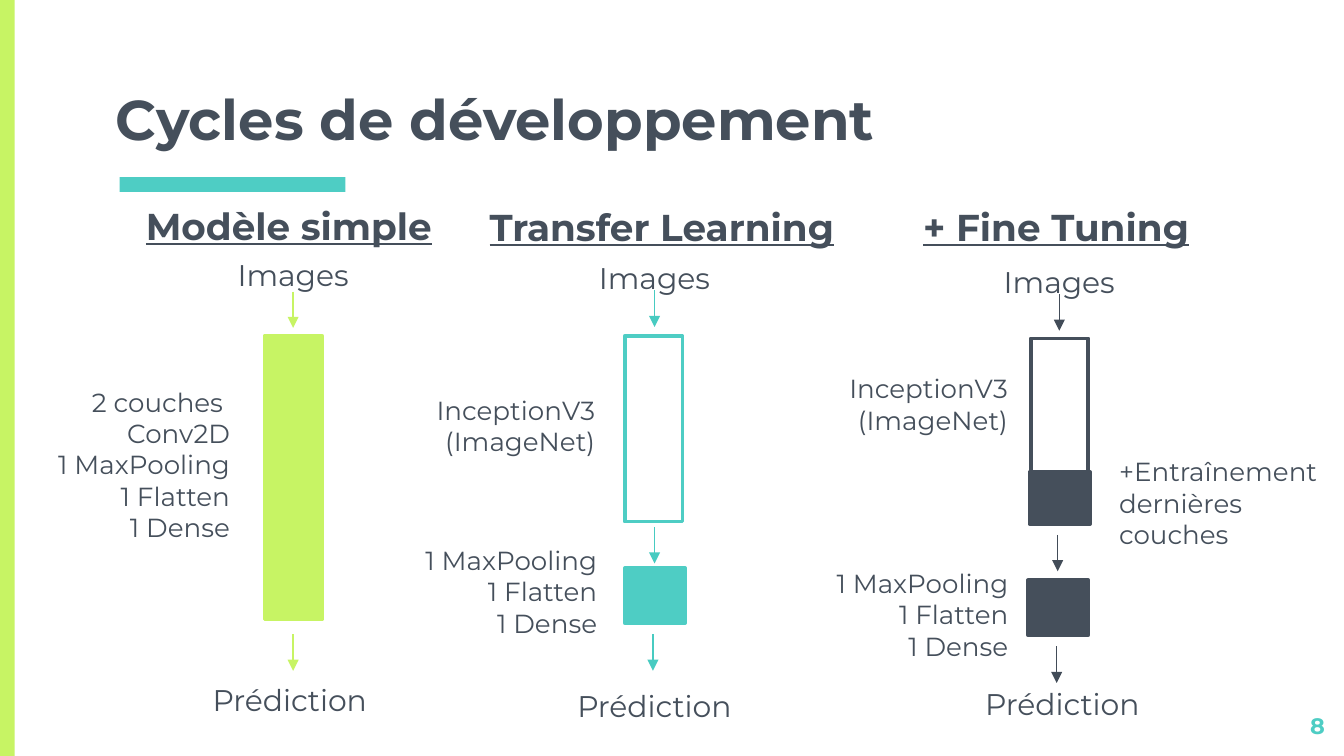
from lxml import etree
from pptx import Presentation
from pptx import util as u
from pptx.dml import color
from pptx.enum import shapes, text
from pptx.oxml import ns

INK, TEAL, LIME, WHITE = "454F5B", "4ECDC4", "C7F464", "FFFFFF"
LEFT, CENTER, RIGHT = text.PP_ALIGN.LEFT, text.PP_ALIGN.CENTER, text.PP_ALIGN.RIGHT
ARROW_LENGTH = 0.69
DENSE_HEAD = ["1 MaxPooling", "1 Flatten", "1 Dense"]


def paint(target, hex_colour):
    """Give a fill a solid colour."""
    target.solid()
    target.fore_color.rgb = color.RGBColor.from_string(hex_colour)


def write(frame, lines, size=16, colour=INK, bold=False, underline=False,
          align=CENTER, anchor=text.MSO_ANCHOR.BOTTOM):
    """Fill a text frame with one formatted paragraph per line."""
    frame.word_wrap = True
    frame.auto_size = text.MSO_AUTO_SIZE.NONE
    frame.vertical_anchor = anchor
    frame.margin_left = frame.margin_right = u.Cm(0.25)
    frame.margin_top = frame.margin_bottom = u.Cm(0.25)
    for index, line in enumerate(lines):
        paragraph = frame.add_paragraph() if index else frame.paragraphs[0]
        paragraph.alignment = align
        run = paragraph.add_run()
        run.text = line
        run.font.name = "Montserrat"
        run.font.size = u.Pt(size)
        run.font.bold = bold
        run.font.underline = underline
        paint(run.font.fill, colour)


def label(slide, left, top, width, height, lines, **style):
    """Add a text box."""
    box = slide.shapes.add_textbox(u.Cm(left), u.Cm(top), u.Cm(width), u.Cm(height))
    write(box.text_frame, lines, **style)


def block(slide, left, top, width, height, fill, outline=None):
    """Add a rectangle with an optional outline."""
    rect = slide.shapes.add_shape(shapes.MSO_SHAPE.RECTANGLE, u.Cm(left), u.Cm(top),
                                  u.Cm(width), u.Cm(height))
    rect.shadow.inherit = False
    paint(rect.fill, fill)
    if outline:
        paint(rect.line.fill, outline)
        rect.line.width = u.Pt(2)
    else:
        rect.line.fill.background()


def down_arrow(slide, x, top, colour, weight):
    """Add a short arrow pointing down."""
    arrow = slide.shapes.add_connector(shapes.MSO_CONNECTOR.STRAIGHT, u.Cm(x), u.Cm(top),
                                       u.Cm(x), u.Cm(top + ARROW_LENGTH))
    paint(arrow.line.fill, colour)
    arrow.line.width = u.Pt(weight)
    line = arrow.line._get_or_add_ln()
    etree.SubElement(line, ns.qn("a:tailEnd"), type="triangle")
    etree.SubElement(arrow._element.spPr, ns.qn("a:effectLst"))


def page_frame(slide, width, height, title, number):
    """Place the side band, title, accent bar and page number."""
    block(slide, 0, 0, 0.28, height, LIME)
    block(slide, 2.26, 3.35, 4.27, 0.28, TEAL)
    heading = slide.shapes.title
    heading.left, heading.top = u.Cm(1.93), u.Cm(1.75)
    heading.width, heading.height = u.Cm(width - 3.83), u.Cm(1.37)
    write(heading.text_frame, [title], size=30, bold=True, align=LEFT)
    label(slide, width - 1.63, height - 1.08, 1.52, 0.86, [number], size=12, colour=TEAL,
          bold=True, align=RIGHT, anchor=text.MSO_ANCHOR.TOP)


def model_column(slide, axis, top, heading, colour, arrow_colour, ends, arrows, layers, captions):
    """Place one model pipeline around a vertical axis, below its top."""
    shift, name = heading
    label(slide, axis + shift - 3.62, top, 7.24, 1.27, [name], size=20, bold=True, underline=True)
    for (dx, dy), word in zip(ends, ("Images", "Prédiction")):
        label(slide, axis + dx - 2.2, top + dy, 4.4, 0.99, [word])
    for dx, dy, width, height, fill in layers:
        block(slide, axis + dx, top + dy, width, height, fill, colour)
    for dx, dy, weight in arrows:
        down_arrow(slide, axis + dx, top + dy, arrow_colour, weight)
    for dx, dy, width, height, align, lines in captions:
        label(slide, axis + dx, top + dy, width, height, lines, size=14, align=align)


def main():
    """Build the slide and save it."""
    width, height = 25.4, 14.29
    deck = Presentation()
    deck.slide_width, deck.slide_height = u.Cm(width), u.Cm(height)
    slide = deck.slides.add_slide(deck.slide_layouts[5])
    page_frame(slide, width, height, "Cycles de développement", "8")
    pretrained = ["InceptionV3 (ImageNet)"]

    model_column(
        slide, 5.54, 3.66, (-0.08, "Modèle simple"), LIME, LIME,
        ends=[(0, 1.12), (-0.06, 9.17)],
        arrows=[(0, 1.85, 0.75), (0, 8.33, 1.25)],
        layers=[(-0.54, 2.69, 1.09, 5.36, LIME)],
        captions=[(-5.44, 3.55, 4.5, 3.3, RIGHT, ["2 couches ", "Conv2D"] + DENSE_HEAD)])
    model_column(
        slide, 12.37, 3.68, (0.14, "Transfer Learning"), TEAL, "48CBC1",
        ends=[(0, 1.17), (0, 9.25)],
        arrows=[(0, 1.81, 0.75), (0, 6.28, 0.75), (-0.03, 8.31, 0.75)],
        layers=[(-0.56, 2.67, 1.09, 3.51, WHITE), (-0.56, 7.06, 1.14, 1.04, TEAL)],
        captions=[(-4.5, 3.36, 3.63, 1.85, RIGHT, pretrained),
                  (-6.32, 6.76, 5.49, 1.88, RIGHT, DENSE_HEAD)])
    model_column(
        slide, 20.02, 3.68, (-0.06, "+ Fine Tuning"), INK, "424C58",
        ends=[(0, 1.25), (0.06, 9.22)],
        arrows=[(0, 1.88, 0.75), (-0.03, 6.43, 0.75), (-0.05, 8.54, 0.75)],
        layers=[(-0.54, 2.72, 1.09, 3.51, WHITE), (-0.56, 5.24, 1.14, 0.99, INK),
                (-0.59, 7.29, 1.14, 1.04, INK)],
        captions=[(-4.35, 2.95, 3.63, 1.85, RIGHT, pretrained),
                  (-6.2, 7.19, 5.49, 1.88, RIGHT, DENSE_HEAD),
                  (0.88, 4.65, 4.4, 2.31, LEFT, ["+Entraînement", "dernières couches"])])
    deck.save("out.pptx")


if __name__ == "__main__":
    main()
